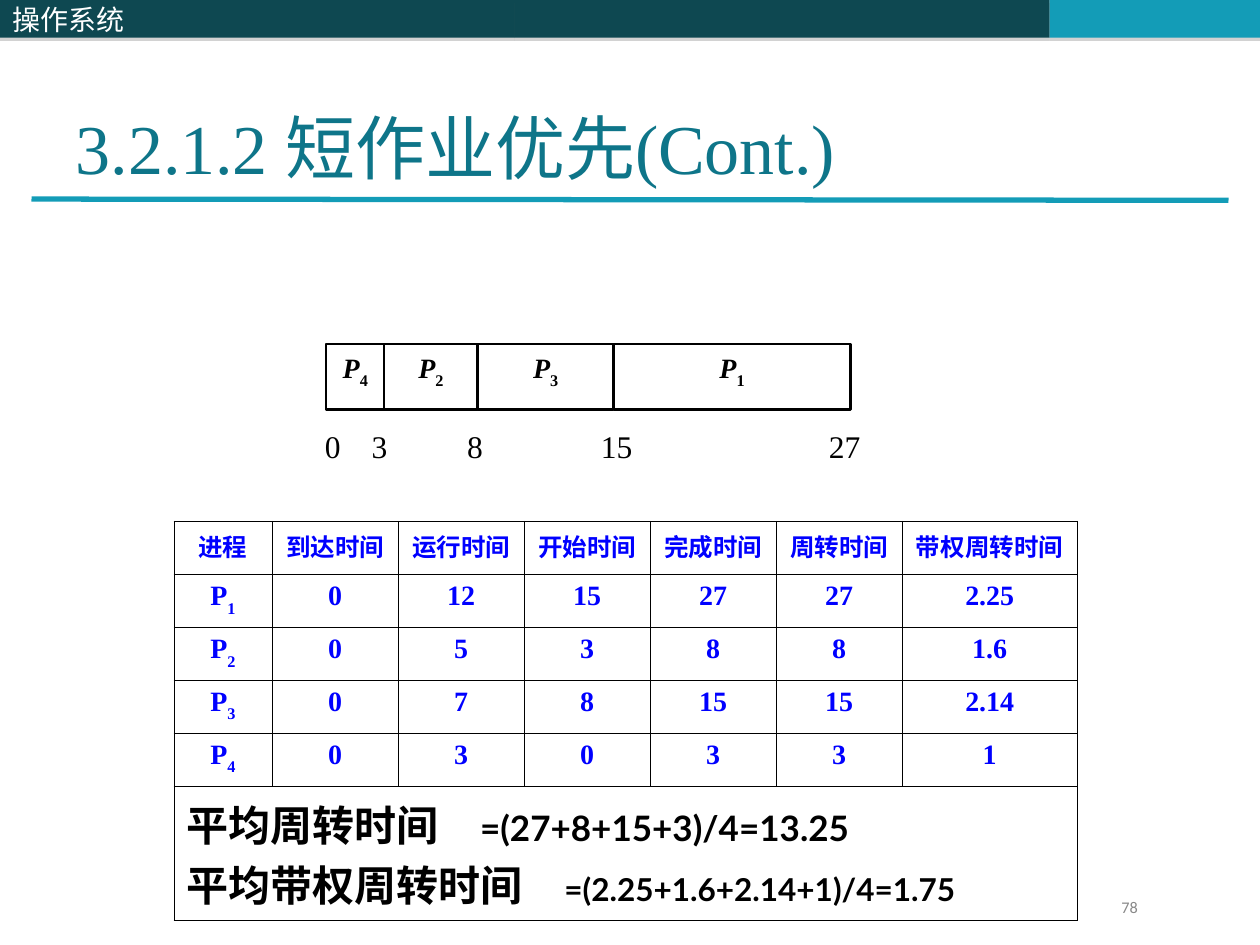
from lxml import etree
from pptx import Presentation
from pptx import util as u
from pptx.dml.color import RGBColor
from pptx.enum import shapes, text
from pptx.oxml import ns

SERIF = "Times New Roman"
CJK = "Noto Sans CJK SC"
BLACK, WHITE, BLUE = "000000", "FFFFFF", "0000FF"
DARK_TEAL, TEAL, TITLE_TEAL, GRAY = "0E4851", "139CB7", "0E7589", "898989"
HEADERS = ["进程", "到达时间", "运行时间", "开始时间", "完成时间", "周转时间", "带权周转时间"]
PROCESSES = [
    ["P1", "0", "12", "15", "27", "27", "2.25"],
    ["P2", "0", "5", "3", "8", "8", "1.6"],
    ["P3", "0", "7", "8", "15", "15", "2.14"],
    ["P4", "0", "3", "0", "3", "3", "1"],
]
AVERAGES = [
    ("平均周转时间", "=(27+8+15+3)/4=13.25", 20, 2.33),
    ("平均带权周转时间", "=(2.25+1.6+2.14+1)/4=1.75", 18, 3.0),
]


def color(value):
    return RGBColor.from_string(value)


def inches(*lengths):
    return [u.Inches(length) for length in lengths]


def add_xml(parent, tag, **attributes):
    return etree.SubElement(parent, ns.qn(tag), {key: str(value) for key, value in attributes.items()})


def style_run(run, size, font_color, name=SERIF, bold=False, italic=False):
    run.font.size = u.Pt(size)
    run.font.name = name
    run.font.bold = bold
    run.font.italic = italic
    run.font.color.rgb = color(font_color)
    add_xml(run._r.get_or_add_rPr(), "a:ea", typeface=CJK)


def add_run(paragraph, content, *style, **options):
    run = paragraph.add_run()
    run.text = content
    style_run(run, *style, **options)
    return run


def write_process_name(paragraph, name, font_color, italic=False):
    add_run(paragraph, name[0], 16, font_color, bold=True, italic=italic)
    index = add_run(paragraph, name[1:], 16, font_color, bold=True)
    index._r.get_or_add_rPr().set("baseline", "-30000")


def set_tabs(paragraph, positions):
    tab_list = add_xml(paragraph._p.get_or_add_pPr(), "a:tabLst")
    for position in positions:
        add_xml(tab_list, "a:tab", pos=u.Inches(position), algn="l")


def add_box(parent, box, fill, line=None, width=0.75):
    shape = parent.add_shape(shapes.MSO_SHAPE.RECTANGLE, *inches(*box))
    shape.fill.solid()
    shape.fill.fore_color.rgb = color(fill)
    if line:
        shape.line.color.rgb = color(line)
        shape.line.width = u.Pt(width)
    else:
        shape.line.fill.background()
    shape.shadow.inherit = False
    return shape


def add_banner(slide, left, top, width, height):
    split, accent = 4.08, 8.33
    parts = [(split, accent, DARK_TEAL), (accent, width, TEAL), (left, split, DARK_TEAL)]
    for start, end, fill in parts:
        panel = add_box(slide.shapes, (start, top, end - start, height), fill)
        effects = panel._element.spPr.find(ns.qn("a:effectLst"))
        shadow = add_xml(effects, "a:outerShdw", dist=u.Pt(1.8), dir=5400000, rotWithShape=0)
        shadow_color = add_xml(shadow, "a:srgbClr", val="808080")
        add_xml(shadow_color, "a:alpha", val=35000)
    frame = panel.text_frame
    frame.vertical_anchor = text.MSO_ANCHOR.MIDDLE
    frame.paragraphs[0].alignment = text.PP_ALIGN.LEFT
    add_run(frame.paragraphs[0], "操作系统", 16, WHITE, name=CJK)


def add_title(slide, *box):
    rule = slide.shapes.add_connector(
        shapes.MSO_CONNECTOR.STRAIGHT, *inches(0.25, 1.58, 9.75, 1.59))
    rule.line.color.rgb = color(TEAL)
    rule.line.width = u.Pt(3)
    add_xml(rule._element.spPr, "a:effectLst")
    title = slide.shapes.title
    title.left, title.top, title.width, title.height = inches(*box)
    frame = title.text_frame
    frame.text = "3.2.1.2 短作业优先(Cont.)"
    frame.auto_size = text.MSO_AUTO_SIZE.NONE
    frame.vertical_anchor = text.MSO_ANCHOR.BOTTOM
    frame.paragraphs[0].alignment = text.PP_ALIGN.LEFT
    style_run(frame.paragraphs[0].runs[0], 40, TITLE_TEAL)


def add_gantt(slide, left, top, width, height):
    group = slide.shapes.add_group_shape()
    axis = add_box(group.shapes, (left, top + 0.63, width, height - 0.63), WHITE, WHITE)
    frame = axis.text_frame
    frame.margin_top = frame.margin_bottom = u.Inches(0.01)
    paragraph = frame.paragraphs[0]
    paragraph.alignment = text.PP_ALIGN.LEFT
    set_tabs(paragraph, [0.37, 1.13, 2.19, 4.0])
    add_run(paragraph, "\t".join(["0", "3", "8", "15", "27"]), 18, BLACK)
    edges = [left + offset for offset in (0.11, 0.57, 1.31, 2.39, 4.27)]
    for name, start, end in zip(["P4", "P2", "P3", "P1"], edges, edges[1:]):
        bar = add_box(group.shapes, (start, top, end - start, 0.52), WHITE, BLACK, 1.25)
        bar.text_frame.vertical_anchor = text.MSO_ANCHOR.TOP
        bar.text_frame.paragraphs[0].alignment = text.PP_ALIGN.CENTER
        write_process_name(bar.text_frame.paragraphs[0], name, BLACK, italic=True)


def format_cell(cell, top_width, bottom_width):
    properties = cell._tc.get_or_add_tcPr()
    sides = {"a:lnL": 0.45, "a:lnR": 0.45, "a:lnT": top_width, "a:lnB": bottom_width}
    for side, width in sides.items():
        border = add_xml(properties, side, w=u.Pt(width))
        add_xml(add_xml(border, "a:solidFill"), "a:srgbClr", val=BLACK)
    cell.fill.background()


def add_schedule(slide, left, top, width, height):
    rows = [HEADERS] + PROCESSES
    last = len(rows)
    table = slide.shapes.add_table(
        last + 1, len(HEADERS), *inches(left, top, width, height)).table
    table.first_row = table.horz_banding = False
    for column, column_width in zip(table.columns, [0.78, 1, 1, 1, 1, 1, 1.39]):
        column.width = u.Inches(column_width)
    for index, row in enumerate(table.rows):
        row.height = u.Inches(1.06 if index == last else 0.42)
        for cell in row.cells:
            format_cell(cell, 0.96 if index < 2 else 0.45, 0.96 if index in (0, last) else 0.45)
    for row_index, values in enumerate(rows):
        for column_index, value in enumerate(values):
            paragraph = table.cell(row_index, column_index).text_frame.paragraphs[0]
            paragraph.alignment = text.PP_ALIGN.CENTER
            if row_index and column_index == 0:
                write_process_name(paragraph, value, BLUE)
            else:
                add_run(paragraph, value, 16 if row_index else 14, BLUE, bold=True)
    summary = table.cell(last, 0)
    summary.merge(table.cell(last, len(HEADERS) - 1))
    frame = summary.text_frame
    for index, (label, formula, size, tab) in enumerate(AVERAGES):
        paragraph = frame.add_paragraph() if index else frame.paragraphs[0]
        set_tabs(paragraph, [tab])
        add_run(paragraph, label + "\t", 24, BLACK, name="Lato", bold=True)
        add_run(paragraph, formula, size, BLACK, name="Lato", bold=True)


def add_page_number(slide, *box):
    frame = slide.shapes.add_textbox(*inches(*box)).text_frame
    frame.word_wrap = True
    frame.margin_right = u.Inches(0.8)
    paragraph = frame.paragraphs[0]
    paragraph.alignment = text.PP_ALIGN.RIGHT
    paragraph.line_spacing = 0.8
    add_run(paragraph, "78", 9.3, GRAY, name="Calibri")


def main():
    presentation = Presentation()
    presentation.slide_width, presentation.slide_height = inches(10, 7.5)
    slide = presentation.slides.add_slide(presentation.slide_layouts[5])
    add_banner(slide, 0, 0, 10, 0.3)
    add_title(slide, 0.5, 0.3, 9, 1.25)
    add_gantt(slide, 2.48, 2.73, 4.49, 0.99)
    add_schedule(slide, 1.38, 4.14, 7.17, 3.16)
    add_page_number(slide, 7.5, 7.1, 2.33, 0.27)
    presentation.save("out.pptx")


if __name__ == "__main__":
    main()
